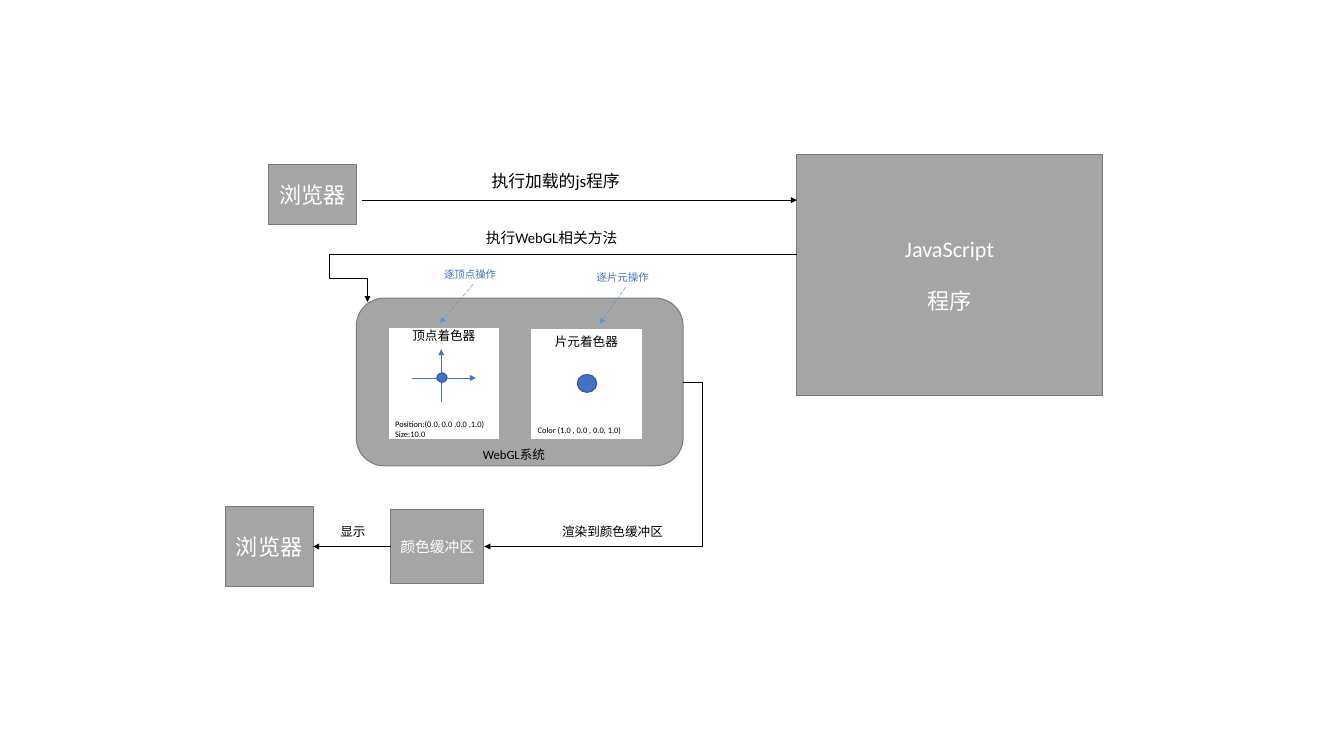
from dataclasses import dataclass

from lxml.etree import SubElement
from pptx import Presentation
from pptx.dml.color import RGBColor
from pptx.enum.dml import MSO_LINE
from pptx.enum.shapes import MSO_CONNECTOR, MSO_SHAPE
from pptx.enum.text import MSO_ANCHOR, PP_ALIGN
from pptx.oxml.ns import qn
from pptx.shapes.autoshape import Shape
from pptx.shapes.connector import Connector
from pptx.slide import Slide
from pptx.text.text import _Paragraph as Para
from pptx.util import Inches, Pt

BLACK = RGBColor(0x00, 0x00, 0x00)
WHITE = RGBColor(0xFF, 0xFF, 0xFF)
GREY = RGBColor(0xA5, 0xA5, 0xA5)
EDGE = RGBColor(0x7A, 0x7A, 0x7A)
BLUE = RGBColor(0x44, 0x72, 0xC4)
NAVY = RGBColor(0x32, 0x54, 0x91)
SKY = RGBColor(0x5B, 0x9B, 0xD5)
FONT = "Calibri"


@dataclass
class Box:
    left: float
    top: float
    width: float
    height: float
    text: str = ""
    size: float = 22.2
    kind: MSO_SHAPE = MSO_SHAPE.RECTANGLE
    fill: RGBColor = GREY
    edge: RGBColor = EDGE
    ink: RGBColor = WHITE
    gap: float = 0


@dataclass
class Card:
    left: float
    top: float
    title: str
    note: str


@dataclass
class Label:
    left: float
    top: float
    width: float
    text: str
    size: float = 12.6
    ink: RGBColor = BLACK


@dataclass
class Wire:
    start: tuple[float, float]
    end: tuple[float, float]
    ink: RGBColor = BLACK
    tip: bool = True
    dash: bool = False
    bent: bool = False


# Blocks
FIRST = Box(3.73, 2.28, 1.22, 0.84, "浏览器")
CODE = Box(11.07, 2.14, 4.24, 3.35, "JavaScript\n程序", gap=25)
WEBGL = Box(4.95, 4.14, 4.54, 2.33, kind=MSO_SHAPE.ROUNDED_RECTANGLE)
BUFFER = Box(5.43, 7.08, 1.29, 1.02, "颜色缓冲区", 14.7)
LAST = Box(3.13, 7.04, 1.22, 1.1, "浏览器")

CARDS = [
    Card(5.39, 4.55, "顶点着色器", "Position:(0.0, 0.0 ,0.0 ,1.0)\nSize:10.0"),
    Card(7.37, 4.56, "片元着色器", "Color (1.0 , 0.0 , 0.0, 1.0)"),
]
SIDE = 1.55

DOTS = [
    Box(left, top, width, height, kind=MSO_SHAPE.FLOWCHART_CONNECTOR,
        fill=BLUE, edge=NAVY)
    for left, top, width, height in [(6.07, 5.18, 0.14, 0.13), (8.02, 5.2, 0.27, 0.25)]
]

WIRES = [
    Wire((5.03, 2.78), (11.07, 2.78)),
    Wire((11.07, 3.53), (4.58, 3.53), tip=False),
    Wire((5.72, 5.25), (6.61, 5.25), BLUE),
    Wire((6.13, 5.59), (6.13, 4.85), BLUE),
    Wire((6.57, 3.95), (6.11, 4.49), SKY, dash=True),
    Wire((8.69, 3.99), (8.33, 4.5), SKY, dash=True),
]
SHOW = Wire((5.43, 7.59), (4.35, 7.59))
ENTER = Wire((5.17, 3.6), (4.51, 4.13), bent=True)
RENDER = Wire((9.49, 5.31), (6.73, 7.59), bent=True)

LABELS = [
    Label(6.73, 2.32, 2.19, "执行加载的js程序", 16.8),
    Label(6.65, 3.13, 2.27, "执行WebGL相关方法", 14.7),
    Label(6.07, 3.67, 1.01, "逐顶点操作", 10.5, BLUE),
    Label(8.19, 3.71, 1.01, "逐片元操作", 10.5, BLUE),
    Label(6.61, 6.16, 1.17, "WebGL系统"),
    Label(4.63, 7.22, 0.56, "显示"),
    Label(7.71, 7.23, 1.76, "渲染到颜色缓冲区"),
]


def style(para: Para, size: float, ink: RGBColor) -> None:
    for run in para.runs:
        run.font.name = FONT
        run.font.size = Pt(size)
        run.font.color.rgb = ink


def draw_box(slide: Slide, box: Box) -> Shape:
    shape = slide.shapes.add_shape(
        box.kind, Inches(box.left), Inches(box.top), Inches(box.width), Inches(box.height))
    shape.shadow.inherit = False
    shape.fill.solid()
    shape.fill.fore_color.rgb = box.fill
    shape.line.color.rgb = box.edge
    shape.line.width = Pt(1)
    if box.text:
        frame = shape.text_frame
        frame.text = box.text
        frame.word_wrap = True
        frame.vertical_anchor = MSO_ANCHOR.MIDDLE
        for rank, para in enumerate(frame.paragraphs):
            para.alignment = PP_ALIGN.CENTER
            para.space_before = Pt(box.gap if rank else 0)
            style(para, box.size, box.ink)
    return shape


def draw_card(slide: Slide, card: Card) -> None:
    shape = draw_box(slide, Box(
        card.left, card.top, SIDE, SIDE, f"{card.title}\n{card.note}", 12.6,
        fill=WHITE, edge=GREY, ink=BLACK))
    notes = shape.text_frame.paragraphs[1:]
    notes[0].space_before = Pt(76)
    for para in notes:
        para.alignment = PP_ALIGN.LEFT
        style(para, 8.4, BLACK)


def draw_label(slide: Slide, label: Label) -> None:
    shape = slide.shapes.add_textbox(
        Inches(label.left), Inches(label.top), Inches(label.width),
        Inches(label.size / 60 + 0.1))
    frame = shape.text_frame
    frame.text = label.text
    frame.word_wrap = True
    frame.margin_right = 0
    style(frame.paragraphs[0], label.size, label.ink)


def draw_wire(slide: Slide, wire: Wire) -> Connector:
    kind = MSO_CONNECTOR.ELBOW if wire.bent else MSO_CONNECTOR.STRAIGHT
    line = slide.shapes.add_connector(
        kind, *(Inches(value) for value in wire.start + wire.end))
    line.line.color.rgb = wire.ink
    line.line.width = Pt(0.5)
    if wire.dash:
        line.line.dash_style = MSO_LINE.LONG_DASH
    if wire.tip:
        SubElement(line.get_or_add_ln(), qn("a:tailEnd"), type="triangle")
    SubElement(line.element.spPr, qn("a:effectLst"))
    return line


def main() -> None:
    deck = Presentation()
    deck.slide_width, deck.slide_height = Inches(18.67), Inches(10.5)
    slide = deck.slides.add_slide(deck.slide_layouts[6])

    # Blocks and shader cards
    for box in (FIRST, CODE, WEBGL):
        draw_box(slide, box)
    buffer, last = draw_box(slide, BUFFER), draw_box(slide, LAST)
    for card in CARDS:
        draw_card(slide, card)

    # Straight lines
    for wire in WIRES:
        draw_wire(slide, wire)
    show = draw_wire(slide, SHOW)
    show.begin_connect(buffer, 1)
    show.end_connect(last, 3)

    # Bent arrows: one turned upright, one bulging to the right
    enter = draw_wire(slide, ENTER)
    enter.element.spPr.find(qn("a:xfrm")).set("rot", "16200000")
    render = draw_wire(slide, RENDER)
    guides = render.element.spPr.find(qn("a:prstGeom")).find(qn("a:avLst"))
    SubElement(guides, qn("a:gd"), name="adj1", fmla="val -9500")

    # Dots and labels
    for dot in DOTS:
        draw_box(slide, dot)
    for label in LABELS:
        draw_label(slide, label)

    deck.save("out.pptx")


if __name__ == "__main__":
    main()
